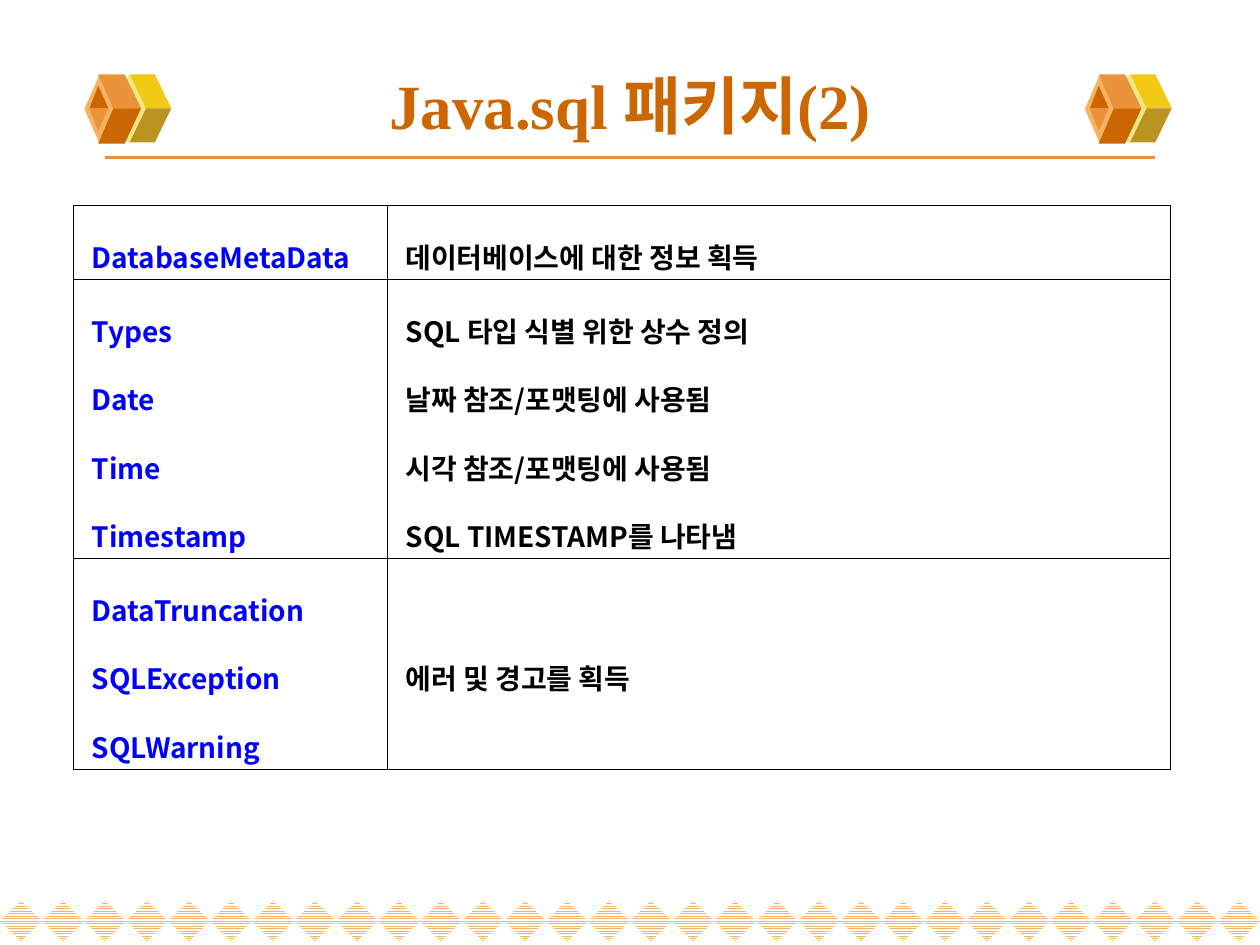
"""Build the slide that lists the java.sql package classes in a table."""
from lxml import etree
from pptx import Presentation
from pptx.dml.color import RGBColor
from pptx.enum.dml import MSO_PATTERN
from pptx.enum.shapes import MSO_CONNECTOR, MSO_SHAPE
from pptx.enum.text import MSO_ANCHOR, MSO_AUTO_SIZE, PP_ALIGN
from pptx.oxml.ns import qn
from pptx.util import Inches, Pt

DIAMOND = MSO_SHAPE.DIAMOND
STRAIGHT = MSO_CONNECTOR.STRAIGHT
NARROW_LINES = MSO_PATTERN.NARROW_HORIZONTAL
MIDDLE = MSO_ANCHOR.MIDDLE
CENTER, JUSTIFY = PP_ALIGN.CENTER, PP_ALIGN.JUSTIFY
NO_AUTOFIT = MSO_AUTO_SIZE.NONE

TITLE = "Java.sql 패키지(2)"
ROWS = [
    (0.57, ["DatabaseMetaData"], ["데이터베이스에 대한 정보 획득"]),
    (2.16, ["Types", "Date", "Time", "Timestamp"],
     ["SQL 타입 식별 위한 상수 정의", "날짜 참조/포맷팅에 사용됨",
      "시각 참조/포맷팅에 사용됨", "SQL TIMESTAMP를 나타냄"]),
    (1.63, ["DataTruncation", "SQLException", "SQLWarning"],
     ["에러 및 경고를 획득"]),
]
COLUMN_WIDTHS = [2.49, 6.22]
CUBE_LEFTS = [0.67, 8.61]
CUBE_TOP = 0.59
DIAMOND_COUNT = 30

THEME = {
    "title_font": "Times New Roman", "body_font": "Noto Sans CJK KR",
    "title_size": 36, "body_size": 16,
    "title": "CC6600", "name": "0000FF", "text": "000000", "border": "000000",
    "rule": "EB933B", "band": "F5B363", "paper": "FFFFFF",
    "yellow_edge": "F1E785", "yellow": "F3C917", "olive": "BB9321",
    "orange_edge": "F5B363", "orange": "EB933B", "dark": "CC6600",
}

CUBE_BACK = [
    ("yellow", [(0.49, 0.27), (0.69, 0.27), (0.56, 0), (0.36, 0)]),
    ("olive", [(0.49, 0.27), (0.69, 0.27), (0.56, 0.54), (0.36, 0.54)]),
]
CUBE_FRONT = [
    ("orange", [(0.23, 0.27), (0.45, 0.27), (0.32, 0), (0.11, 0)]),
    ("dark", [(0.23, 0.27), (0.45, 0.27), (0.32, 0.55), (0.11, 0.55)]),
    ("dark", [(0.11, 0.09), (0.04, 0.27), (0.19, 0.27)]),
    ("orange", [(0.11, 0.45), (0.04, 0.27), (0.19, 0.27)]),
]


def color(key):
    return RGBColor.from_string(THEME[key])


def paint(shape, key):
    shape.shadow.inherit = False
    shape.line.fill.background()
    shape.fill.solid()
    shape.fill.fore_color.rgb = color(key)


def add_diamond(s, left, top, width, height):
    return s.shapes.add_shape(DIAMOND, Inches(left), Inches(top),
                              Inches(width), Inches(height))


def add_faces(s, left, faces):
    for key, points in faces:
        path = [(Inches(left + x), Inches(CUBE_TOP + y)) for x, y in points]
        builder = s.shapes.build_freeform(*path[0])
        builder.add_line_segments(path[1:], close=True)
        paint(builder.convert_to_shape(), key)


def add_cube(s, left):
    paint(add_diamond(s, left + 0.19, CUBE_TOP, 0.33, 0.55), "yellow_edge")
    add_faces(s, left, CUBE_BACK)
    paint(add_diamond(s, left, CUBE_TOP, 0.24, 0.55), "orange_edge")
    add_faces(s, left, CUBE_FRONT)


def add_band(s, slide_width):
    step = slide_width / DIAMOND_COUNT
    for i in range(DIAMOND_COUNT):
        shape = add_diamond(s, i * step, 7.15, step, 0.32)
        paint(shape, "band")
        shape.fill.patterned()
        shape.fill.pattern = NARROW_LINES
        shape.fill.fore_color.rgb = color("band")
        shape.fill.back_color.rgb = color("paper")


def add_rule(s):
    line = s.shapes.add_connector(STRAIGHT, Inches(0.83), Inches(1.25),
                                  Inches(9.17), Inches(1.25))
    line.line.color.rgb = color("rule")
    line.line.width = Pt(2.25)
    etree.SubElement(line._element.spPr, qn("a:effectLst"))


def add_run(p, text, font, size, key):
    r = p.add_run()
    r.text = text
    r.font.name, r.font.size, r.font.bold = font, Pt(size), True
    r.font.color.rgb = color(key)
    etree.SubElement(r._r.get_or_add_rPr(), qn("a:ea"),
                     typeface=THEME["body_font"])


def add_title(s):
    title = s.shapes.title
    title.left, title.top = Inches(0.5), Inches(0.4)
    title.width, title.height = Inches(9), Inches(0.85)
    tf = title.text_frame
    tf.auto_size, tf.vertical_anchor, tf.word_wrap = NO_AUTOFIT, MIDDLE, True
    p = tf.paragraphs[0]
    p.alignment = CENTER
    add_run(p, TITLE, THEME["title_font"], THEME["title_size"], "title")


def set_borders(cell):
    tc_pr = cell._tc.get_or_add_tcPr()
    for side in ("lnL", "lnR", "lnT", "lnB"):
        ln = etree.SubElement(tc_pr, qn("a:" + side), w=str(Pt(0.28)))
        fill = etree.SubElement(ln, qn("a:solidFill"))
        etree.SubElement(fill, qn("a:srgbClr"), val=THEME["border"])


def fill_cell(cell, lines, key):
    set_borders(cell)
    cell.fill.background()
    cell.vertical_anchor = MIDDLE
    cell.margin_left = cell.margin_right = Inches(0.07)
    cell.margin_top = cell.margin_bottom = Inches(0.02)
    tf = cell.text_frame
    for i, text in enumerate(lines):
        p = tf.add_paragraph() if i else tf.paragraphs[0]
        p.alignment, p.line_spacing = JUSTIFY, 1.7
        p_pr = p._p.get_or_add_pPr()
        p_pr.set("marL", "0")
        p_pr.set("indent", str(Inches(0.08)))
        add_run(p, text, THEME["body_font"], THEME["body_size"], key)


def add_class_table(s):
    height = sum(row[0] for row in ROWS)
    table = s.shapes.add_table(
        len(ROWS), len(COLUMN_WIDTHS), Inches(0.58), Inches(1.63),
        Inches(sum(COLUMN_WIDTHS)), Inches(height)).table
    table.first_row = table.horz_banding = False
    for column, width in zip(table.columns, COLUMN_WIDTHS):
        column.width = Inches(width)
    for row, (row_height, names, notes) in zip(table.rows, ROWS):
        row.height = Inches(row_height)
        fill_cell(row.cells[0], names, "name")
        fill_cell(row.cells[1], notes, "text")


def main():
    prs = Presentation()
    prs.slide_width, prs.slide_height = Inches(10), Inches(7.5)
    s = prs.slides.add_slide(prs.slide_layouts[5])
    add_band(s, prs.slide_width.inches)
    add_rule(s)
    for left in CUBE_LEFTS:
        add_cube(s, left)
    add_title(s)
    add_class_table(s)
    prs.save("out.pptx")


if __name__ == "__main__":
    main()
